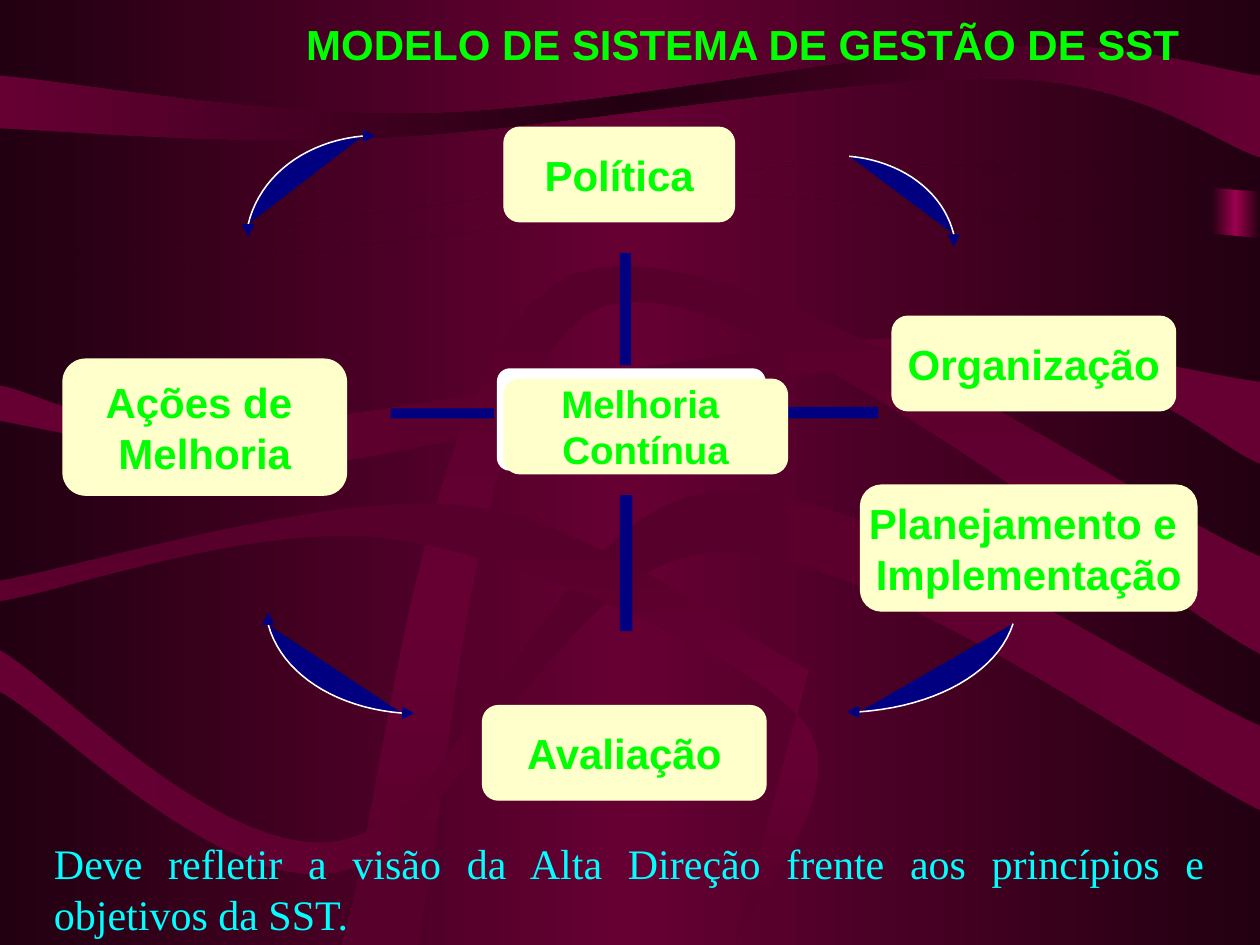
import copy

import pptx
import pptx.dml.color
import pptx.enum.shapes
import pptx.enum.text
import pptx.util

Inches = pptx.util.Inches
SHAPE = pptx.enum.shapes.MSO_SHAPE
ALIGN = pptx.enum.text.PP_ALIGN
ANCHOR = pptx.enum.text.MSO_ANCHOR
AUTO_SIZE = pptx.enum.text.MSO_AUTO_SIZE

THEME = {
    "dark": "220011", "wine": "660033", "shade": "56002B", "bright": "9C004E",
    "navy": "000080", "white": "FFFFFF", "cream": "FFFFCC",
    "green": "00FF00", "cyan": "00FFFF",
    "heading_font": "Arial", "body_font": "Times New Roman",
    "size": 24, "center_size": 22, "arc_line": 0.88, "box_line": 0.75,
}

# Content
TITLE = "MODELO DE SISTEMA DE GESTÃO DE SST"
NOTE = ("Deve refletir a visão da Alta Direção frente aos princípios "
        "e objetivos da SST.")

# Box: left, top, width, height, paragraphs (each a list of lines), text size
BOXES = [
    (4, 1.01, 1.83, 0.75, [["Política"]], "size"),
    (7.08, 2.51, 2.25, 0.75, [["Organização"]], "size"),
    (6.83, 3.85, 2.67, 1, [["Planejamento e "], ["Implementação"]], "size"),
    (3.83, 5.6, 2.25, 0.75, [["Avaliação"]], "size"),
    (0.5, 2.85, 2.25, 1.08, [["Ações de ", "Melhoria"]], "size"),
    (4, 3.01, 2.25, 0.75, [["Melhoria ", "Contínua"]], "center_size"),
]
CENTER_BACKING = (3.95, 2.93, 2.12, 0.8)
SPOKES = [(6.05, 3.23, 0.92, 0.09), (3.1, 3.24, 0.82, 0.08),
          (4.92, 2.01, 0.09, 0.89), (4.92, 3.93, 0.1, 1.08)]

# Arc: its level end, its upright end, and which of the two carry an arrowhead
ARCS = [
    ((6.74, 1.24), (7.57, 1.86), ["upright"]),
    ((2.88, 1.08), (1.97, 1.78), ["level", "upright"]),
    ((3.19, 5.66), (2.13, 4.96), ["level", "upright"]),
    ((6.82, 5.65), (8.04, 4.95), ["level"]),
]
HEAD_LENGTH, HEAD_HALF = 0.1, 0.05

# Ribbon: edge colour, middle colour, angle, upper knots, lower knots
EDGE_BAND = (9.61, 0.49, 0.39, 3.45)
RIBBONS = [
    ("dark", "wine", 180, [(0, 0), (10, 0)],
     [(0, 2.11), (6.25, 1.32), (10, 1.52)]),
    ("dark", "wine", 180, [(0, 2.28), (4.58, 1.74), (5.86, 1.55), (10, 1.89)],
     [(0, 7.5), (10, 7.5)]),
    ("wine", "dark", 180, [(0, 0.6), (3.45, 0.9), (7.92, 0.37), (10, 0.6)],
     [(0, 1.02), (3.08, 1.09), (7.94, 0.62), (10, 1.25)]),
    ("wine", "shade", 180, [(0, 3.06), (1.9, 3.38), (7.01, 2.69), (10, 3.03)],
     [(0, 3.34), (2.22, 3.75), (2.82, 3.64), (7.8, 2.83), (10, 3.68)]),
    ("shade", "wine", 90, [(2.71, 7.5), (4.54, 2.18), (10, 4.42)],
     [(3.31, 7.5), (4.79, 2.43), (10, 5.19)]),
    ("wine", "shade", 180, [(0, 5.16), (2.73, 6.67), (5.62, 3.91), (10, 5.76)],
     [(0, 5.49), (2.69, 6.92), (5.65, 4.38), (10, 6.43)]),
    ("shade", "wine", 90, [(0, 4.61), (3.66, 4.01), (6.42, 5.32)],
     [(0, 4.77), (3.14, 4.28), (6.37, 5.72), (5.83, 7.5)]),
]


def color(name):
    return pptx.dml.color.RGBColor.from_string(THEME[name])


def between(start, end, across, down):
    return (start[0] + across * (end[0] - start[0]),
            start[1] + down * (end[1] - start[1]))


def curve(knots, steps=20):
    """Points of a cubic curve given by two ends and two controls."""
    points = []
    for step in range(steps + 1):
        t = step / steps
        weights = ((1 - t) ** 3, 3 * t * (1 - t) ** 2, 3 * t ** 2 * (1 - t), t ** 3)
        points.append(tuple(sum(w * knot[axis] for w, knot in zip(weights, knots))
                            for axis in (0, 1)))
    return points


def spline(knots):
    """Smooth line through knots; each tangent follows the two neighbours."""
    padded = [knots[0], *knots, knots[-1]]
    points = []
    for before, start, end, after in zip(padded, padded[1:], padded[2:], padded[3:]):
        leave = tuple(s + (e - b) / 6 for b, s, e in zip(before, start, end))
        arrive = tuple(e - (a - s) / 6 for s, e, a in zip(start, end, after))
        points += curve([start, leave, arrive, end])
    return points


def arrowhead(level, upright, end):
    """Triangle that carries the arc on past one of its ends."""
    if end == "level":
        x, y = level
        sign = 1 if level[0] > upright[0] else -1
        return [(x, y - HEAD_HALF), (x + sign * HEAD_LENGTH, y), (x, y + HEAD_HALF)]
    x, y = upright
    sign = 1 if upright[1] > level[1] else -1
    return [(x - HEAD_HALF, y), (x, y + sign * HEAD_LENGTH), (x + HEAD_HALF, y)]


def paint_gradient(fill, edge, middle, angle):
    fill.gradient()
    fill.gradient_angle = angle
    first = fill.gradient_stops[0]._gs
    first.addnext(copy.deepcopy(first))
    for stop, name, position in zip(fill.gradient_stops, (edge, middle, edge), (0, 0.5, 1)):
        stop.color.rgb = color(name)
        stop.position = position


def finish(shape, fill=None, line=None, width=0):
    shape.shadow.inherit = False
    if fill:
        shape.fill.solid()
        shape.fill.fore_color.rgb = color(fill)
    else:
        shape.fill.background()
    if line:
        shape.line.color.rgb = color(line)
        shape.line.width = pptx.util.Pt(width)
    else:
        shape.line.fill.background()
    return shape


def add_preset(slide, kind, frame, *style):
    return finish(slide.shapes.add_shape(kind, *map(Inches, frame)), *style)


def add_outline(slide, points, *style, close=True):
    points = [(Inches(x), Inches(y)) for x, y in points]
    builder = slide.shapes.build_freeform(*points[0])
    builder.add_line_segments(points[1:], close=close)
    return finish(builder.convert_to_shape(), *style)


def write(shape, paragraphs, size, ink, font, bold, align, anchor, wrap):
    frame = shape.text_frame
    frame.word_wrap = wrap
    frame.vertical_anchor = anchor
    for index, lines in enumerate(paragraphs):
        paragraph = frame.add_paragraph() if index else frame.paragraphs[0]
        paragraph.alignment = align
        for number, line in enumerate(lines):
            if number:
                paragraph.add_line_break()
            run = paragraph.add_run()
            run.text = line
            run.font.size = pptx.util.Pt(THEME[size])
            run.font.name = THEME[font]
            run.font.bold = bold
            run.font.color.rgb = color(ink)


def main():
    presentation = pptx.Presentation()
    presentation.slide_width, presentation.slide_height = Inches(10), Inches(7.5)
    slide = presentation.slides.add_slide(presentation.slide_layouts[5])

    # Background ribbons
    paint_gradient(slide.background.fill, "dark", "wine", 180)
    band = add_preset(slide, SHAPE.RECTANGLE, EDGE_BAND)
    paint_gradient(band.fill, "dark", "bright", 180)
    for edge, middle, angle, upper, lower in RIBBONS:
        ribbon = add_outline(slide, spline(upper) + spline(lower)[::-1])
        paint_gradient(ribbon.fill, edge, middle, angle)

    # Hub backing, spokes and cycle arrows
    backing = add_preset(slide, SHAPE.ROUNDED_RECTANGLE, CENTER_BACKING,
                         "white", "white", THEME["arc_line"])
    backing.adjustments[0] = 0.12
    for frame in SPOKES:
        add_preset(slide, SHAPE.RECTANGLE, frame, "navy")
    for level, upright, heads in ARCS:
        points = curve([level, between(level, upright, 0.5, 0.06),
                        between(upright, level, 0.1, 0.55), upright])
        add_outline(slide, points, "navy")
        add_outline(slide, points, None, "white", THEME["arc_line"], close=False)
        for end in heads:
            add_outline(slide, arrowhead(level, upright, end), "navy")

    # Cycle boxes
    for *frame, paragraphs, size in BOXES:
        box = add_preset(slide, SHAPE.ROUNDED_RECTANGLE, frame,
                         "cream", "cream", THEME["box_line"])
        write(box, paragraphs, size, "green", "heading_font", True,
              ALIGN.CENTER, ANCHOR.MIDDLE, False)

    # Title, brought in front of the ribbons
    title = slide.shapes.title
    title.left, title.top, title.width, title.height = map(Inches, (2.33, 0.1, 7.14, 0.5))
    write(title, [[TITLE]], "size", "green", "heading_font", True,
          ALIGN.LEFT, ANCHOR.TOP, False)
    title.text_frame.auto_size = AUTO_SIZE.SHAPE_TO_FIT_TEXT
    slide.shapes._spTree.append(title._element)

    # Closing note
    note = slide.shapes.add_textbox(*map(Inches, (0.33, 6.6, 9.33, 0.9)))
    write(note, [[NOTE]], "size", "cyan", "body_font", False,
          ALIGN.JUSTIFY, ANCHOR.TOP, True)
    note.text_frame.auto_size = AUTO_SIZE.SHAPE_TO_FIT_TEXT

    presentation.save("out.pptx")


if __name__ == "__main__":
    main()
